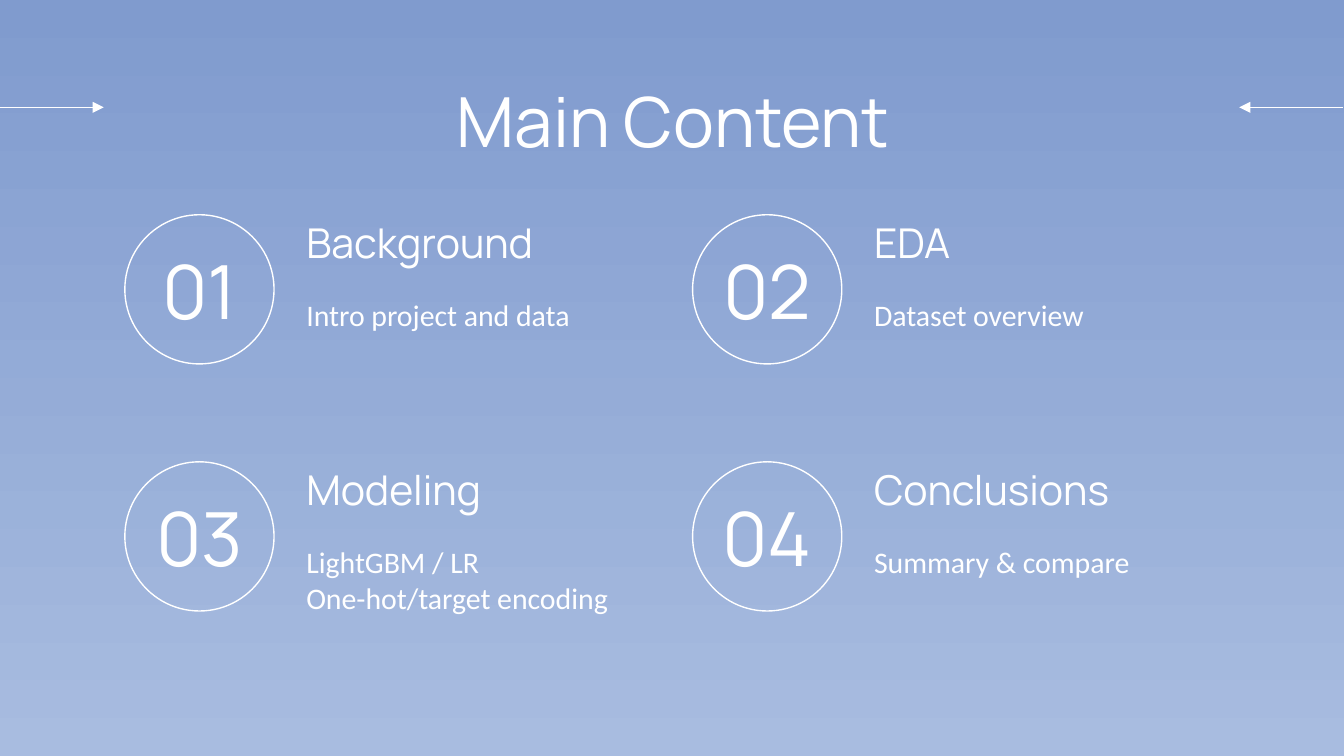
from lxml.etree import SubElement
from pptx import Presentation
from pptx.dml.color import RGBColor
from pptx.enum.shapes import MSO_CONNECTOR, MSO_SHAPE
from pptx.enum.text import MSO_ANCHOR, MSO_AUTO_SIZE, PP_ALIGN
from pptx.oxml.ns import qn
from pptx.util import Cm, Pt

TITLE = "Main Content"
SECTIONS = [
    ("01", "Background", "Intro project and data"),
    ("02", "EDA", "Dataset overview"),
    ("03", "Modeling", "LightGBM / LR\nOne-hot/target encoding"),
    ("04", "Conclusions", "Summary & compare"),
]
ARROWS = [(0, 1.96), (25.38, 23.42)]
GRADIENT = ["809BCE", "A8BCE0"]
WHITE = "FFFFFF"
COLUMNS = 2
COLUMN_STEP, ROW_STEP = 10.73, 4.67
CIRCLE_LEFT, CIRCLE_TOP, CIRCLE_SIZE = 2.36, 4.06, 2.82
NUMBER_WIDTH = 2.42
TEXT_LEFT, TEXT_WIDTH = 5.54, 7.16


def color(value):
    return RGBColor.from_string(value)


def write(box, text, size, font, anchor=MSO_ANCHOR.TOP, align=PP_ALIGN.LEFT):
    frame = box.text_frame
    frame.text = text
    frame.word_wrap = True
    frame.auto_size = MSO_AUTO_SIZE.NONE
    frame.vertical_anchor = anchor
    frame.margin_left = frame.margin_right = Cm(0.25)
    frame.margin_top = frame.margin_bottom = Cm(0.25)
    for para in frame.paragraphs:
        para.alignment = align
        for span in para.runs:
            span.font.size = Pt(size)
            span.font.name = font
            span.font.color.rgb = color(WHITE)


def add_text(page, left, top, width, height, *style):
    box = page.shapes.add_textbox(Cm(left), Cm(top), Cm(width), Cm(height))
    write(box, *style)


def add_arrow(page, start, tip):
    arrow = page.shapes.add_connector(
        MSO_CONNECTOR.STRAIGHT, Cm(start), Cm(2.03), Cm(tip), Cm(2.03))
    arrow.line.color.rgb = color(WHITE)
    arrow.line.width = Pt(0.75)
    SubElement(arrow.line._get_or_add_ln(), qn("a:tailEnd"), type="triangle")
    SubElement(arrow._element.spPr, qn("a:effectLst"))


def add_section(page, index, number, heading, detail):
    row, column = divmod(index, COLUMNS)
    shift, drop = column * COLUMN_STEP, row * ROW_STEP
    left, top = CIRCLE_LEFT + shift, CIRCLE_TOP + drop
    circle = page.shapes.add_shape(
        MSO_SHAPE.OVAL, Cm(left), Cm(top), Cm(CIRCLE_SIZE), Cm(CIRCLE_SIZE))
    circle.shadow.inherit = False
    circle.fill.background()
    circle.line.color.rgb = color(WHITE)
    circle.line.width = Pt(0.75)
    add_text(page, left + (CIRCLE_SIZE - NUMBER_WIDTH) / 2, top, NUMBER_WIDTH,
             CIRCLE_SIZE, number, 40, "Manrope", MSO_ANCHOR.MIDDLE, PP_ALIGN.CENTER)
    add_text(page, TEXT_LEFT + shift, 3.89 + drop, TEXT_WIDTH, 1.4,
             heading, 22, "Manrope", MSO_ANCHOR.BOTTOM)
    add_text(page, TEXT_LEFT + shift, 5.36 + drop, TEXT_WIDTH, 1.73,
             detail, 16, "Calibri")


def main():
    deck = Presentation()
    deck.slide_width, deck.slide_height = Cm(25.4), Cm(14.29)
    page = deck.slides.add_slide(deck.slide_layouts[5])
    fill = page.background.fill
    fill.gradient()
    fill.gradient_angle = 270
    for stop, position, shade in zip(fill.gradient_stops, (0, 1), GRADIENT):
        stop.position = position
        stop.color.rgb = color(shade)

    title = page.shapes.title
    title.left, title.top, title.width, title.height = Cm(2), Cm(1.24), Cm(21.44), Cm(1.6)
    write(title, TITLE, 37, "Manrope", MSO_ANCHOR.TOP, PP_ALIGN.CENTER)
    for start, tip in ARROWS:
        add_arrow(page, start, tip)
    for index, section in enumerate(SECTIONS):
        add_section(page, index, *section)
    deck.save("out.pptx")


if __name__ == "__main__":
    main()
